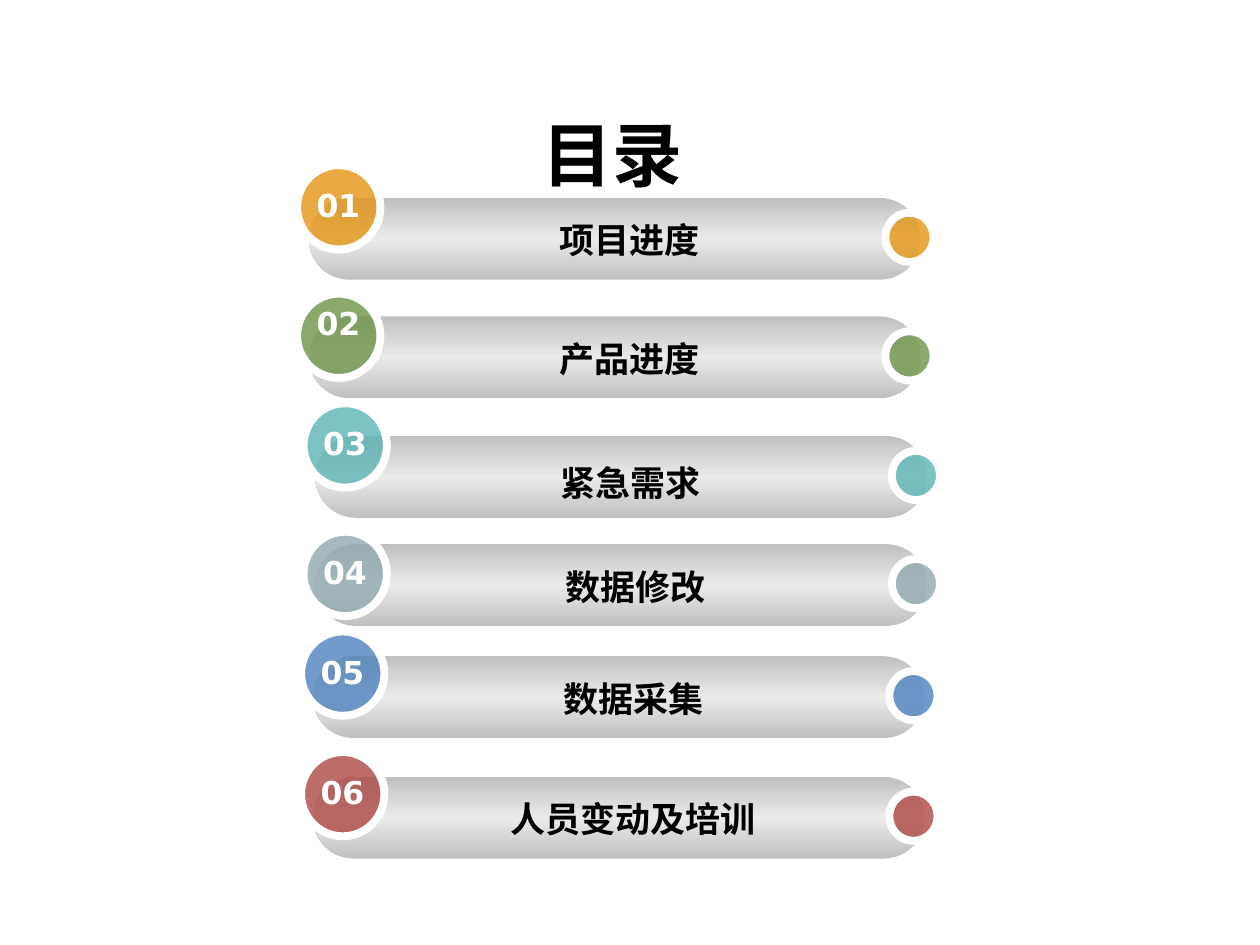
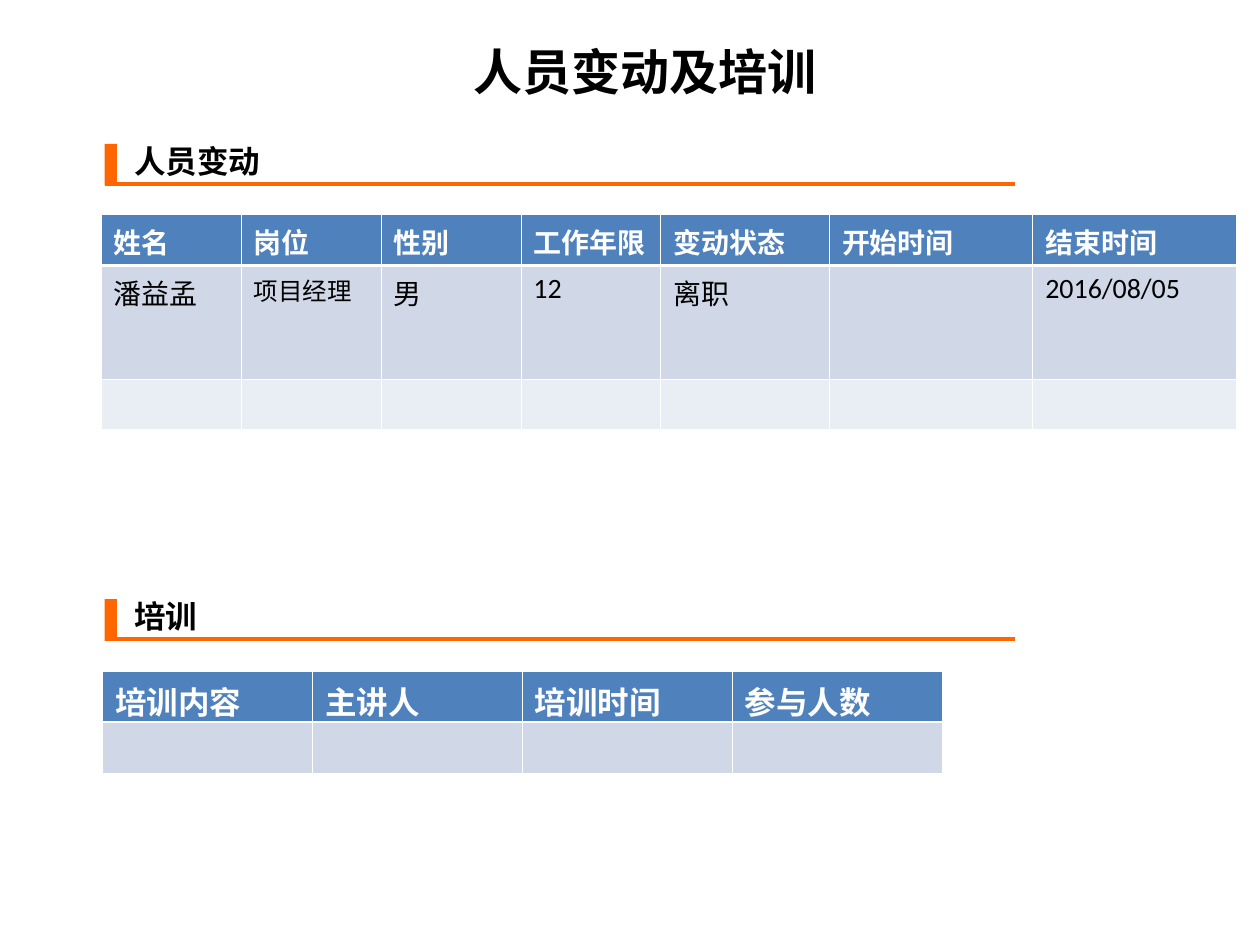
import copy
import dataclasses

import pptx
import pptx.dml.color
import pptx.enum.shapes
import pptx.enum.text
import pptx.oxml.ns
import pptx.util
from lxml import etree

Cm, Pt = pptx.util.Cm, pptx.util.Pt
SHAPE = pptx.enum.shapes.MSO_SHAPE
CENTER = pptx.enum.text.PP_ALIGN.CENTER
qn = pptx.oxml.ns.qn

COLORS = {
    "black": "000000", "white": "FFFFFF", "accent": "FF6600",
    "bar_edge": "C0C0C0", "bar_middle": "EAEAEA",
    "amber": "E49514", "green": "6E9349", "teal": "5EB4B4",
    "slate": "90A8B0", "blue": "4F81BD", "red": "AE4845",
    "band_dark": "D0D8E8", "band_light": "E9EDF4",
}
BODY_FONT, HEADING_FONT = "Calibri", "Arial"
NUMBER_FONT, CJK_FONT = "DejaVu Sans", "Noto Sans CJK SC"
THIN, THICK = 0.45, 1.47


def rgb(name):
    return pptx.dml.color.RGBColor.from_string(COLORS[name])


@dataclasses.dataclass
class Topic:
    """One agenda entry; lengths in cm, offsets measured from its bar."""
    title: str
    color: str
    left: float
    top: float
    badge_rise: float
    number_drop: float = 0.3
    label_shift: float = 0
    label_drop: float = 0.3


class Deck:
    def __init__(self):
        self.prs = pptx.Presentation()
        self.prs.slide_width, self.prs.slide_height = Cm(25.4), Cm(19.05)
        self.slide = None

    def new_slide(self):
        self.slide = self.prs.slides.add_slide(self.prs.slide_layouts[6])

    def run(self, paragraph, text, size, font=BODY_FONT, color="black", bold=True):
        run = paragraph.add_run()
        run.text = text
        run.font.size, run.font.bold, run.font.name = Pt(size), bold, font
        run.font.color.rgb = rgb(color)
        east_asian = etree.SubElement(run.font._element, qn("a:ea"))
        east_asian.set("typeface", CJK_FONT)

    def text(self, box, text, size, align=None, space_before=0, **style):
        frame = self.slide.shapes.add_textbox(*map(Cm, box)).text_frame
        frame.word_wrap = True
        frame.auto_size = pptx.enum.text.MSO_AUTO_SIZE.SHAPE_TO_FIT_TEXT
        paragraph = frame.paragraphs[0]
        paragraph.alignment = align
        if space_before:
            paragraph.space_before = Pt(space_before)
        self.run(paragraph, text, size, **style)

    def shape(self, kind, box, color=None):
        shape = self.slide.shapes.add_shape(kind, *map(Cm, box))
        shape.shadow.inherit = False
        shape.line.fill.background()
        if color:
            shape.fill.solid()
            shape.fill.fore_color.rgb = rgb(color)
        return shape

    def pill(self, box):
        """Fully rounded bar, lighter along its middle."""
        pill = self.shape(SHAPE.ROUNDED_RECTANGLE, box)
        pill.adjustments[0] = 0.5
        pill.fill.gradient()
        pill.fill.gradient_angle = 90
        first = next(pill._element.spPr.iter(qn("a:gs")))
        first.addnext(copy.deepcopy(first))
        names = ("bar_edge", "bar_middle", "bar_edge")
        for i, (stop, name) in enumerate(zip(pill.fill.gradient_stops, names)):
            stop.position = i / 2
            stop.color.rgb = rgb(name)

    def disc(self, box, color):
        """Slightly transparent circle with a white ring."""
        disc = self.shape(SHAPE.OVAL, box, color)
        tint = disc._element.spPr.find(qn("a:solidFill"))[0]
        etree.SubElement(tint, qn("a:alpha")).set("val", "80000")
        disc.line.color.rgb = rgb("white")
        disc.line.width = Pt(4.5)

    def rule(self, left, right, y):
        rule = self.slide.shapes.add_connector(
            pptx.enum.shapes.MSO_CONNECTOR.STRAIGHT, Cm(left), Cm(y), Cm(right), Cm(y))
        rule.line.color.rgb = rgb("accent")
        rule.line.width = Pt(2.25)
        etree.SubElement(rule._element.spPr, qn("a:effectLst"))

    def section(self, title, top):
        self.rule(2.11, 20.47, top + 0.98)
        self.shape(SHAPE.RECTANGLE, (2.11, top + 0.17, 0.25, 0.84), "accent")
        self.text((2.46, top, 17.35, 1.02), title, 18, font=HEADING_FONT)

    def topic(self, number, topic):
        left, top = topic.left, topic.top
        badge_left, badge_top = left - 0.24, top - topic.badge_rise
        self.pill((left, top, 12.32, 1.65))
        self.text((left + 1.68 + topic.label_shift, top + topic.label_drop, 9.55, 1.12),
                  topic.title, 20, CENTER, 12.5)
        self.disc((badge_left, badge_top, 1.68, 1.7), topic.color)
        self.text((badge_left + 0.1, badge_top + topic.number_drop, 1.47, 1.02),
                  f"{number:02}", 18, CENTER, 11.2, font=NUMBER_FONT, color="white")
        self.disc((left + 11.62, top + 0.3, 0.97, 0.99), topic.color)

    def borders(self, cell, **widths):
        """White cell borders; widths in points for L, R, T and B."""
        properties = cell._tc.get_or_add_tcPr()
        for i, (side, width) in enumerate(widths.items()):
            line = etree.Element(qn(f"a:ln{side}"), w=str(Pt(width)))
            fill = etree.SubElement(line, qn("a:solidFill"))
            etree.SubElement(fill, qn("a:srgbClr")).set("val", COLORS["white"])
            properties.insert(i, line)

    def table(self, left, top, widths, heights, rows, size, small=()):
        """Table with a blue header; texts in small are set at 14 points."""
        table = self.slide.shapes.add_table(
            len(heights), len(widths), Cm(left), Cm(top),
            Cm(sum(widths)), Cm(sum(heights))).table
        for column, width in zip(table.columns, widths):
            column.width = Cm(width)
        for r, height in enumerate(heights):
            table.rows[r].height = Cm(height)
            header = r == 0
            band = "blue" if header else ("band_light", "band_dark")[r % 2]
            for c in range(len(widths)):
                cell = table.cell(r, c)
                cell.fill.solid()
                cell.fill.fore_color.rgb = rgb(band)
                self.borders(cell, L=THIN, R=THIN, T=THICK if r == 1 else THIN,
                             B=THICK if header else THIN)
                text = rows[r][c] if r < len(rows) else ""
                if text:
                    self.run(cell.text_frame.paragraphs[0], text,
                             14 if text in small else size,
                             color="white" if header else "black", bold=header)


TOPICS = [
    Topic("项目进度", "amber", 6.23, 3.99, 0.66),
    Topic("产品进度", "green", 6.23, 6.38, 0.46, number_drop=0.08),
    Topic("紧急需求", "teal", 6.36, 8.79, 0.66, label_shift=-0.1, label_drop=0.38),
    Topic("数据修改", "slate", 6.36, 10.97, 0.25),
    Topic("数据采集", "blue", 6.31, 13.23, 0.5),
    Topic("人员变动及培训", "red", 6.31, 15.66, 0.5),
]
STAFF_CHANGES = [
    ("姓名", "岗位", "性别", "工作年限", "变动状态", "开始时间", "结束时间"),
    ("潘益孟", "项目经理", "男", "12", "离职", "", "2016/08/05"),
]
TRAININGS = [("培训内容", "主讲人", "培训时间", "参与人数")]


def agenda(deck):
    deck.new_slide()
    deck.text((10.69, 2.13, 3.78, 1.96), "目录", 40)
    for number, topic in enumerate(TOPICS, 1):
        deck.topic(number, topic)


def staff_and_training(deck):
    deck.new_slide()
    deck.text((9.3, 0.71, 7.8, 1.45), TOPICS[-1].title, 28, font=CJK_FONT)
    deck.section("人员变动", 2.73)
    deck.table(2.04, 4.33, [2.82] * 4 + [3.4] + [4.1] * 2, [1.02, 2.29, 1.02],
               STAFF_CHANGES, 16, small=("项目经理",))
    deck.section("培训", 11.91)
    deck.table(2.07, 13.54, [4.23] * 4, [1.02] * 2, TRAININGS, 18)


def main():
    deck = Deck()
    agenda(deck)
    staff_and_training(deck)
    deck.prs.save("out.pptx")


if __name__ == "__main__":
    main()
